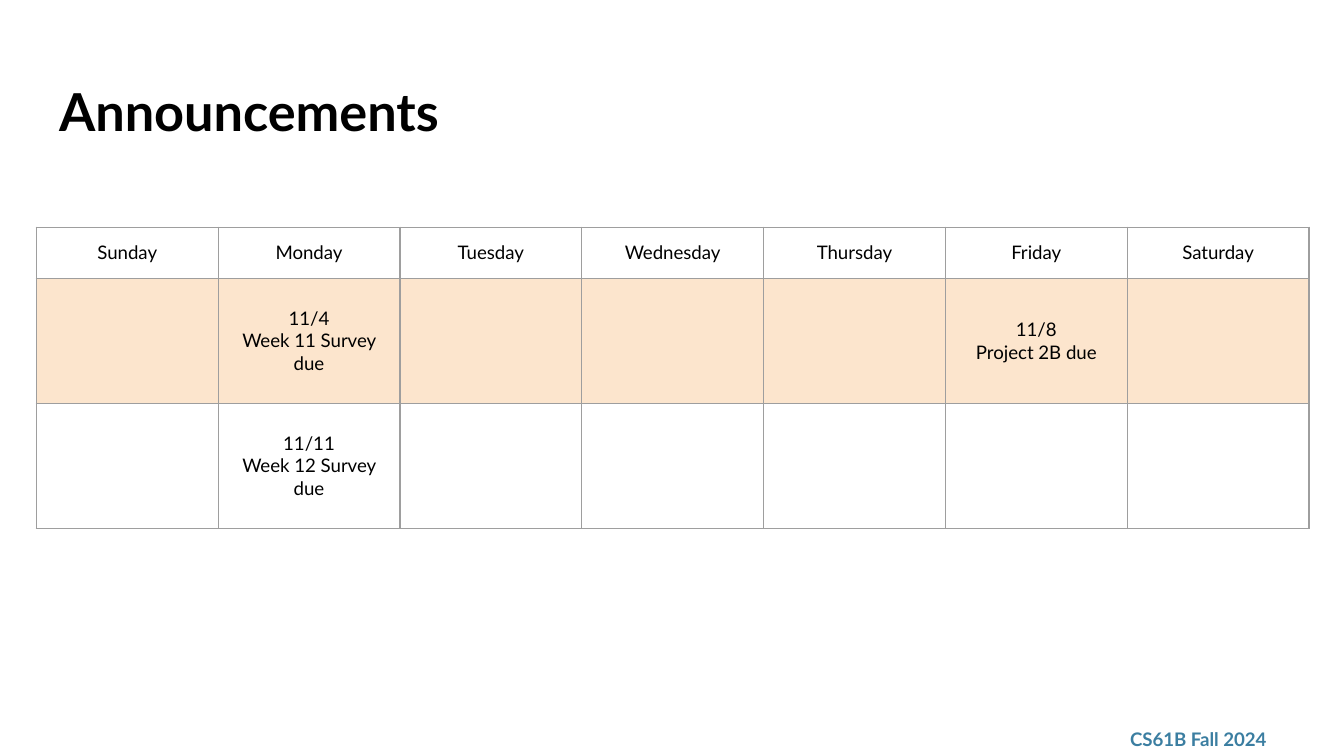
from lxml import etree
from pptx import Presentation
from pptx.dml.color import RGBColor
from pptx.enum.text import MSO_ANCHOR, PP_ALIGN
from pptx.oxml.ns import qn
from pptx.util import Inches, Pt

MIDDLE, TOP = MSO_ANCHOR.MIDDLE, MSO_ANCHOR.TOP
CENTER, LEFT = PP_ALIGN.CENTER, PP_ALIGN.LEFT
WIDTH = 10
HEIGHT = WIDTH * 9 / 16
TABLE_LEFT, TABLE_TOP, TABLE_WIDTH = 0.27, 1.69, 9.47
ROW_HEIGHTS = [0.38, 0.93, 0.93]
ROW_FILLS = ["FFFFFF", "FCE5CD", "FFFFFF"]
DAYS = ["Sunday", "Monday", "Tuesday", "Wednesday", "Thursday", "Friday", "Saturday"]
EVENTS = [
    {"Monday": "11/4\nWeek 11 Survey due", "Friday": "11/8\nProject 2B due"},
    {"Monday": "11/11\nWeek 12 Survey due"},
]


def color(value):
    """Turn a hex string into a colour."""
    return RGBColor.from_string(value)


def write(frame, text, size, ink="000000", bold=False, align=LEFT):
    """Fill a text frame and format all its paragraphs."""
    frame.text = text
    for para in frame.paragraphs:
        para.alignment = align
        font = para.font
        font.name, font.size, font.bold = "Lato", Pt(size), bold
        font.color.rgb = color(ink)


def place_text(box, area, anchor, text, size, **style):
    """Position a text shape and write into it."""
    box.left, box.top, box.width, box.height = map(Inches, area)
    frame = box.text_frame
    frame.word_wrap = True
    frame.vertical_anchor = anchor
    frame.margin_left = frame.margin_right = Inches(0.1)
    frame.margin_top = frame.margin_bottom = Inches(0.1)
    write(frame, text, size, **style)


def add_borders(cell, ink="9E9E9E", width=0.75):
    """Draw a thin line on each side of a cell."""
    properties = cell._tc.get_or_add_tcPr()
    for index, side in enumerate(("a:lnL", "a:lnR", "a:lnT", "a:lnB")):
        line = etree.Element(qn(side), w=str(Pt(width)))
        fill = etree.SubElement(line, qn("a:solidFill"))
        etree.SubElement(fill, qn("a:srgbClr"), val=ink)
        properties.insert(index, line)


def format_cell(cell, text, fill):
    """Write, fill and outline one calendar cell."""
    cell.margin_left = cell.margin_right = Inches(0.05)
    cell.margin_top = cell.margin_bottom = Inches(0.05)
    cell.vertical_anchor = MIDDLE
    write(cell.text_frame, text, 10, align=CENTER)
    cell.fill.solid()
    cell.fill.fore_color.rgb = color(fill)
    add_borders(cell)


def add_calendar(page):
    """Add the table with a header row and one row per week."""
    area = (TABLE_LEFT, TABLE_TOP, TABLE_WIDTH, sum(ROW_HEIGHTS))
    table = page.shapes.add_table(len(ROW_HEIGHTS), len(DAYS), *map(Inches, area)).table
    table.first_row = table.horz_banding = False
    for column in table.columns:
        column.width = Inches(TABLE_WIDTH / len(DAYS))
    weeks = [DAYS] + [[week.get(day, "") for day in DAYS] for week in EVENTS]
    for row, height, fill, texts in zip(table.rows, ROW_HEIGHTS, ROW_FILLS, weeks):
        row.height = Inches(height)
        for cell, text in zip(row.cells, texts):
            format_cell(cell, text, fill)


def main():
    """Build the announcements slide."""
    deck = Presentation()
    deck.slide_width, deck.slide_height = Inches(WIDTH), Inches(HEIGHT)
    page = deck.slides.add_slide(deck.slide_layouts[5])
    place_text(page.shapes.title, (0.34, 0.49, 9.32, 0.63), TOP,
               "Announcements", 28, bold=True)
    add_calendar(page)
    footer = page.shapes.add_textbox(0, 0, 0, 0)
    place_text(footer, (8.31, 5.37, 1.35, 0.26), MIDDLE,
               "CS61B Fall 2024", 10, ink="3B7EA1", bold=True)
    deck.save("out.pptx")


if __name__ == "__main__":
    main()
